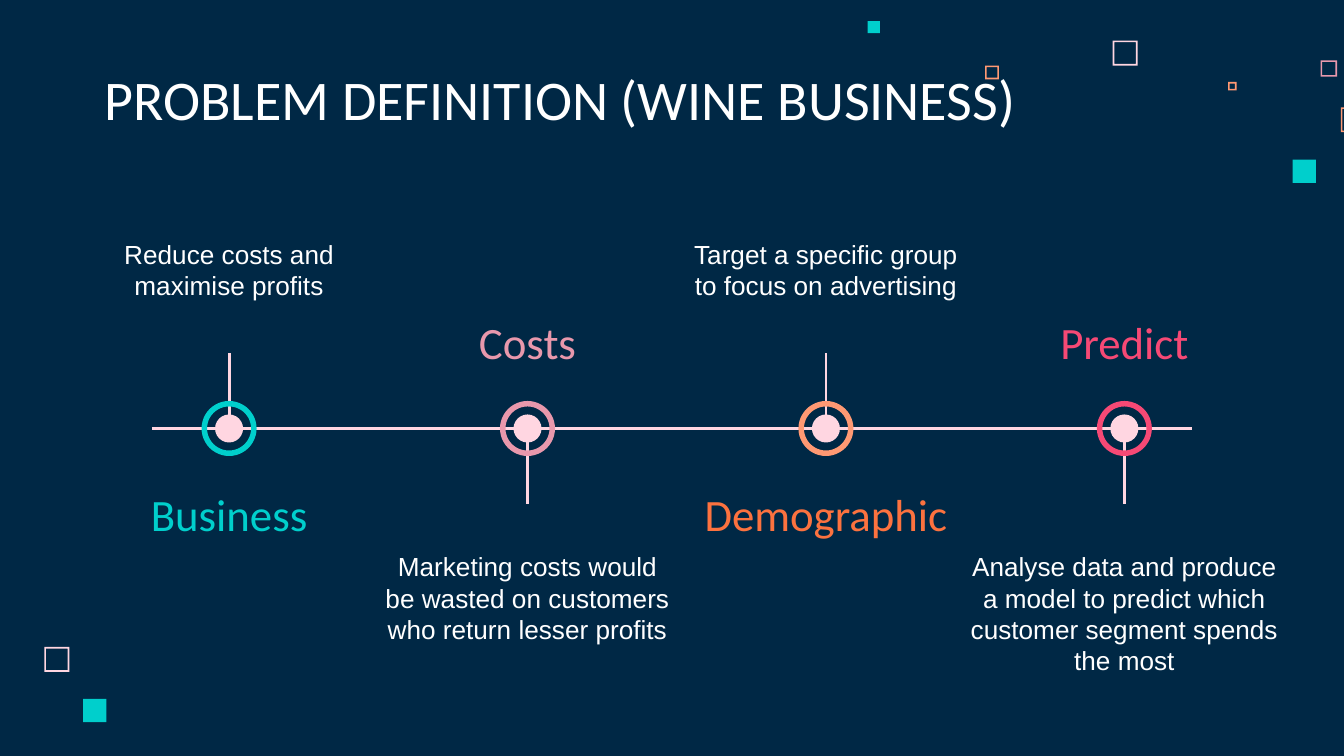
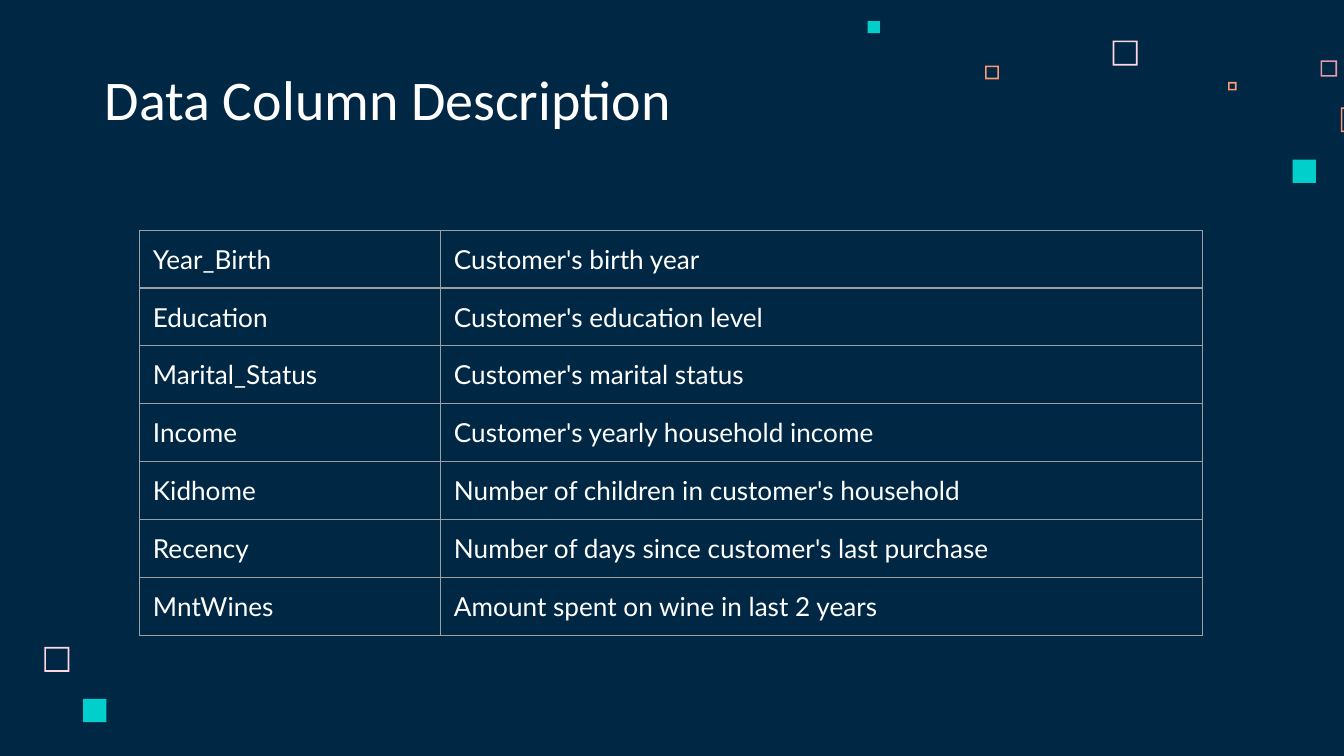
from lxml.etree import SubElement
from pptx import Presentation
from pptx.dml.color import RGBColor
from pptx.enum.shapes import MSO_CONNECTOR, MSO_SHAPE
from pptx.enum.text import MSO_ANCHOR, PP_ALIGN
from pptx.oxml.ns import qn
from pptx.util import Cm, Pt

NAVY, WHITE, GREY = "002845", "FFFFFF", "9E9E9E"
BLUSH, ROSE, TEAL = "FFD6E1", "E898AC", "00CFCC"
PEACH, ORANGE, PINK = "FF9973", "FC723F", "F64975"


def color(value):
    return RGBColor.from_string(value)


def add_text(slide, text, left, top, width, height, size, font, text_color, anchor, align):
    box = slide.shapes.add_textbox(Cm(left), Cm(top), Cm(width), Cm(height))
    frame = box.text_frame
    frame.word_wrap = True
    frame.vertical_anchor = anchor
    frame.margin_left = frame.margin_right = Cm(0.25)
    frame.margin_top = frame.margin_bottom = Cm(0.25)
    paragraph = frame.paragraphs[0]
    paragraph.text = text
    paragraph.alignment = align
    paragraph.font.size = Pt(size)
    paragraph.font.name = font
    paragraph.font.color.rgb = color(text_color)


presentation = Presentation()
presentation.slide_width = Cm(25.4)
presentation.slide_height = Cm(14.29)
master = presentation.slide_master
master.background.fill.solid()
master.background.fill.fore_color.rgb = color(NAVY)

blank = presentation.slide_layouts[6]
timeline_slide = presentation.slides.add_slide(blank)
table_slide = presentation.slides.add_slide(blank)

squares = [
    (MSO_SHAPE.FRAME, 21.03, 0.77, 0.47, BLUSH),
    (MSO_SHAPE.FRAME, 24.96, 1.14, 0.31, ROSE),
    (MSO_SHAPE.FRAME, 23.21, 1.55, 0.16, PEACH),
    (MSO_SHAPE.FRAME, 25.34, 2.03, 0.47, PEACH),
    (MSO_SHAPE.RECTANGLE, 24.43, 3.02, 0.44, TEAL),
    (MSO_SHAPE.FRAME, 18.62, 1.24, 0.26, PEACH),
    (MSO_SHAPE.RECTANGLE, 16.4, 0.4, 0.23, TEAL),
    (MSO_SHAPE.FRAME, 0.84, 12.23, 0.47, BLUSH),
    (MSO_SHAPE.RECTANGLE, 1.57, 13.21, 0.44, TEAL),
]
for number, (kind, left, top, side, fill) in enumerate(squares, start=100):
    square = timeline_slide.shapes.add_shape(kind, Cm(left), Cm(top), Cm(side), Cm(side))
    square.shadow.inherit = False
    square.fill.solid()
    square.fill.fore_color.rgb = color(fill)
    square.line.fill.background()
    if kind == MSO_SHAPE.FRAME:
        square.adjustments[0] = 0.03 / side
    square.element.nvSpPr.cNvPr.set("id", str(number))
    master.shapes.element.append(square.element)

titles = [
    (timeline_slide, "PROBLEM DEFINITION (WINE BUSINESS)", 19.66),
    (table_slide, "Data Column Description", 18.31),
]
for slide, title, width in titles:
    add_text(slide, title, 1.73, 1.14, width, 1.6, 30, "Calibri", WHITE,
             MSO_ANCHOR.BOTTOM, PP_ALIGN.LEFT)

axis = 8.1
first_center, step = 4.33, 5.64
steps = [
    ("Business", 3.58, TEAL, TEAL, "Reduce costs and maximise profits", 5.23),
    ("Costs", 4.93, ROSE, ROSE,
     "Marketing costs would be wasted on customers who return lesser profits", 5.87),
    ("Demographic", 5.23, ORANGE, PEACH, "Target a specific group to focus on advertising", 5.87),
    ("Predict", 3.58, PINK, PINK,
     "Analyse data and produce a model to predict which customer segment spends the most", 6.32),
]
centers = [first_center + step * index for index in range(len(steps))]

lines = [(2.87, axis, 22.53, axis)]
for index, center in enumerate(centers):
    direction = 1 if index % 2 else -1
    lines.append((center, axis + 0.16 * direction, center, axis + 1.43 * direction))
for start_x, start_y, end_x, end_y in lines:
    line = timeline_slide.shapes.add_connector(
        MSO_CONNECTOR.STRAIGHT, Cm(start_x), Cm(start_y), Cm(end_x), Cm(end_y))
    line.line.color.rgb = color(BLUSH)
    line.line.width = Pt(1.5)
    SubElement(line.element.spPr, qn("a:effectLst"))

for index, (center, item) in enumerate(zip(centers, steps)):
    heading, heading_width, heading_color, ring_color, description, description_width = item
    for kind, size, fill in ((MSO_SHAPE.OVAL, 0.53, BLUSH), (MSO_SHAPE.DONUT, 1.04, ring_color)):
        marker = timeline_slide.shapes.add_shape(
            kind, Cm(center - size / 2), Cm(axis - size / 2), Cm(size), Cm(size))
        marker.shadow.inherit = False
        marker.fill.solid()
        marker.fill.fore_color.rgb = color(fill)
        marker.line.fill.background()
        if kind == MSO_SHAPE.DONUT:
            marker.adjustments[0] = 0.1

    below = index % 2 == 1
    add_text(timeline_slide, description, center - description_width / 2,
             10.16 if below else 4.14, description_width, 1.8, 14, "Arial", WHITE,
             MSO_ANCHOR.TOP if below else MSO_ANCHOR.BOTTOM, PP_ALIGN.CENTER)
    add_text(timeline_slide, heading, center - heading_width / 2,
             5.87 if below else 9.12, heading_width, 1.19, 24, "Calibri", heading_color,
             MSO_ANCHOR.MIDDLE, PP_ALIGN.CENTER)

rows = [
    ("Year_Birth", "Customer's birth year"),
    ("Education", "Customer's education level"),
    ("Marital_Status", "Customer's marital status"),
    ("Income", "Customer's yearly household income"),
    ("Kidhome", "Number of children in customer's household"),
    ("Recency", "Number of days since customer's last purchase"),
    ("MntWines", "Amount spent on wine in last 2 years"),
]
column_widths = [5.69, 14.4]
row_height = 1.07
table = table_slide.shapes.add_table(
    len(rows), len(column_widths), Cm(2.64), Cm(4.35),
    Cm(sum(column_widths)), Cm(row_height * len(rows))).table
table.first_row = False
table.horz_banding = False
for column, width in zip(table.columns, column_widths):
    column.width = Cm(width)
for row, texts in zip(table.rows, rows):
    row.height = Cm(row_height)
    for cell, text in zip(row.cells, texts):
        cell.text = text
        cell.margin_left = cell.margin_right = Cm(0.25)
        cell.margin_top = cell.margin_bottom = Cm(0.25)
        paragraph = cell.text_frame.paragraphs[0]
        paragraph.font.size = Pt(14)
        paragraph.font.name = "Lato"
        paragraph.font.color.rgb = color(WHITE)
        properties = cell._tc.get_or_add_tcPr()
        for edge in ("a:lnL", "a:lnR", "a:lnT", "a:lnB"):
            border = SubElement(properties, qn(edge), w=str(Pt(0.75)))
            border_fill = SubElement(border, qn("a:solidFill"))
            SubElement(border_fill, qn("a:srgbClr"), val=GREY)
        cell.fill.background()

presentation.save("out.pptx")
